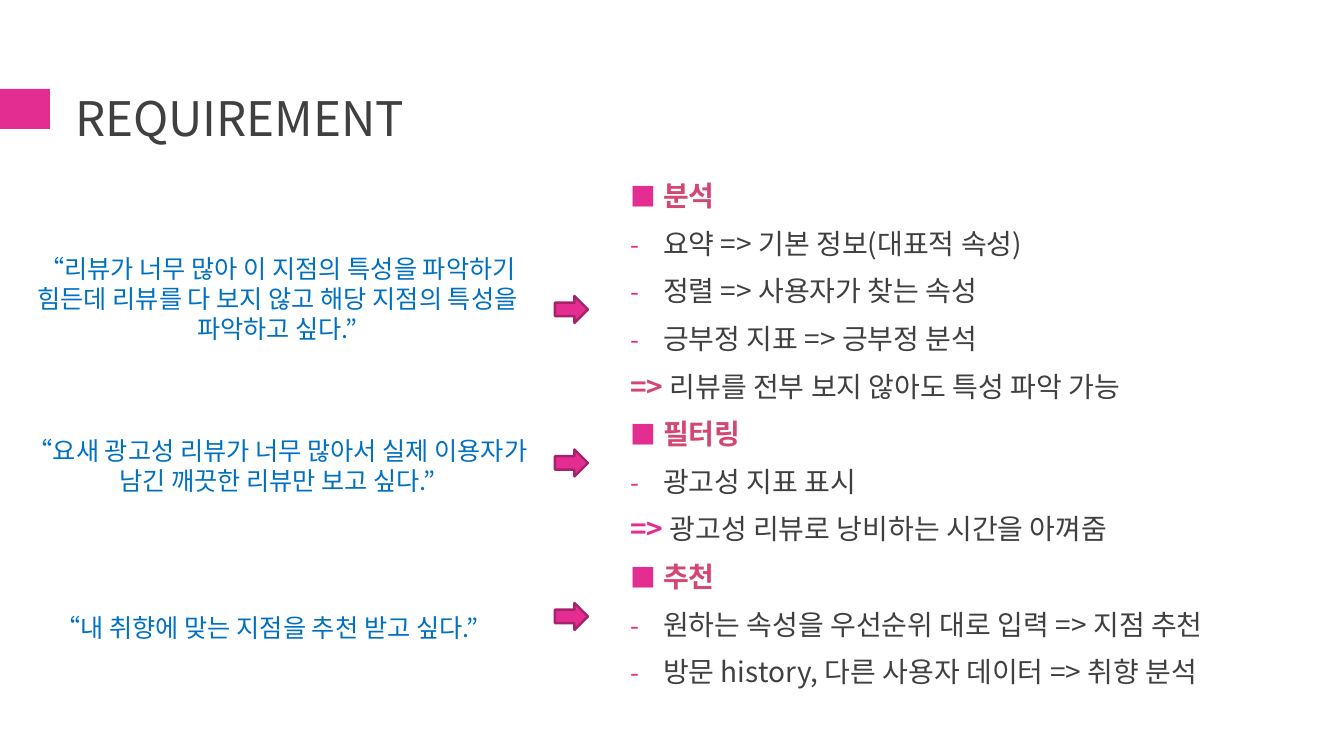
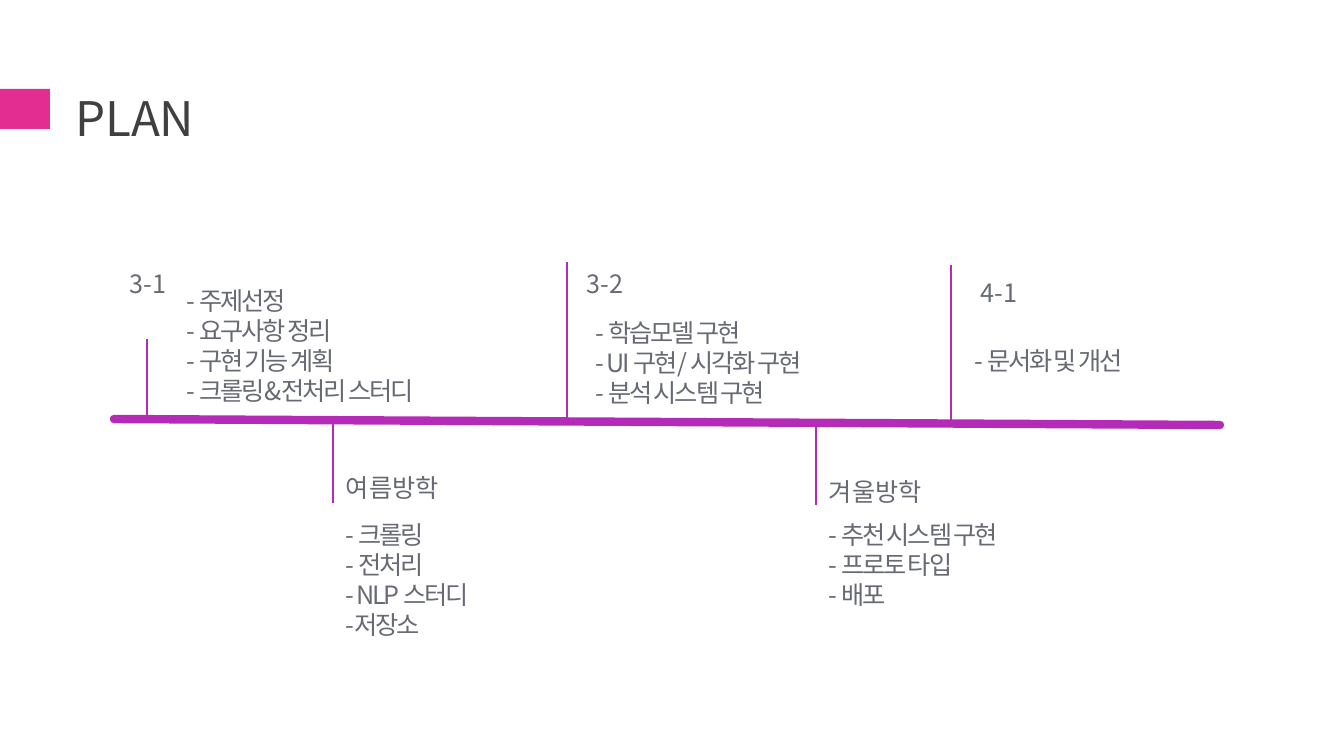
import pptx
import pptx.util
import pptx.dml.color
import pptx.enum.shapes
import pptx.enum.text
import pptx.oxml.ns
import lxml.etree

PIXEL = 914400 / 100.8
FONT = "Noto Sans CJK KR"
PINK, ROSE, DARK_PINK = "E32D91", "D54773", "A8216B"
PURPLE, BLUE, DARK, GREY = "B42BB8", "0070C0", "404040", "676A73"
LINE_HEIGHT = 1.2

REQUIREMENTS = [
    ("■", "분석"),
    ("-", "요약 => 기본 정보(대표적 속성)"),
    ("-", "정렬 => 사용자가 찾는 속성"),
    ("-", "긍부정 지표 => 긍부정 분석"),
    (ROSE, "리뷰를 전부 보지 않아도 특성 파악 가능"),
    ("■", "필터링"),
    ("-", "광고성 지표 표시"),
    (PINK, "광고성 리뷰로 낭비하는 시간을 아껴줌"),
    ("■", "추천"),
    ("-", "원하는 속성을 우선순위 대로 입력 => 지점 추천"),
    ("-", "방문 history, 다른 사용자 데이터 => 취향 분석"),
]
QUOTES = [
    ((0, 245, 555, 102), "“리뷰가 너무 많아 이 지점의 특성을 파악하기 힘든데 "
     "리뷰를 다 보지 않고 해당 지점의 특성을 파악하고 싶다.”"),
    ((0, 427, 555, 72), "“요새 광고성 리뷰가 너무 많아서 실제 이용자가 "
     "남긴 깨끗한 리뷰만 보고 싶다.”"),
    ((32, 604, 470, 40), "“내 취향에 맞는 지점을 추천 받고 싶다.”"),
]
PERIODS = [
    ("3-1", (120, 260), (177, 277), (147, 339, 417),
     ["- 주제선정", "- 요구사항 정리", "- 구현 기능 계획", "- 크롤링&전처리 스터디"]),
    ("여름방학", (336, 464), (336, 511), (333, 423, 503),
     ["- 크롤링", "- 전처리", "- NLP 스터디", "-저장소"]),
    ("3-2", (577, 260), (586, 309), (567, 262, 421),
     ["- 학습모델 구현", "- UI 구현/ 시각화 구현", "- 분석 시스템 구현"]),
    ("겨울방학", (819, 468), (819, 511), (816, 425, 505),
     ["- 추천 시스템 구현", "- 프로토 타입", "- 배포"]),
    ("4-1", (971, 269), (965, 337), (951, 265, 423), ["- 문서화 및 개선"]),
]


def px(length):
    """Turn pixels into EMU."""
    return pptx.util.Emu(round(length * PIXEL))


def rgb(code):
    """Turn a hex string into a colour."""
    return pptx.dml.color.RGBColor.from_string(code)


def child(parent, tag, **attributes):
    """Append a DrawingML element to its parent."""
    return lxml.etree.SubElement(parent, pptx.oxml.ns.qn(tag), attributes)


def place(holder, left, top, width, height):
    """Move and size a shape in pixels."""
    holder.left, holder.top = px(left), px(top)
    holder.width, holder.height = px(width), px(height)


def add_words(paragraph, words, size, color, bold=False, spacing=0):
    """Add one formatted run and fix the line height of its paragraph."""
    paragraph.line_spacing = pptx.util.Pt(round(size * LINE_HEIGHT, 1))
    run = paragraph.add_run()
    run.text = words
    run.font.size = pptx.util.Pt(size)
    run.font.name = FONT
    run.font.bold = bold
    run.font.color.rgb = rgb(color)
    properties = run.font._element
    child(properties, "a:ea", typeface=FONT)
    if spacing:
        properties.set("spc", str(round(spacing * 100)))


def add_preset(slide, preset, box, fill, outline=None):
    """Add a filled preset shape without shadow."""
    shape = slide.shapes.add_shape(preset, *map(px, box))
    shape.shadow.inherit = False
    shape.fill.solid()
    shape.fill.fore_color.rgb = rgb(fill)
    if outline:
        shape.line.color.rgb = rgb(outline)
        shape.line.width = pptx.util.Pt(1.75)
    else:
        shape.line.fill.background()
    return shape


def add_line(slide, start, end, weight, round_cap=False):
    """Add a straight purple line."""
    line = slide.shapes.add_connector(
        pptx.enum.shapes.MSO_CONNECTOR.STRAIGHT, *map(px, start + end))
    line.line.color.rgb = rgb(PURPLE)
    line.line.width = pptx.util.Pt(weight)
    if round_cap:
        line.line._get_or_add_ln().set("cap", "rnd")
    child(line._element.spPr, "a:effectLst")


def add_text(slide, box, lines, color, centred=False, spacing=0):
    """Add a text box with one paragraph for each line."""
    frame = slide.shapes.add_textbox(*map(px, box)).text_frame
    frame.word_wrap = True
    frame.margin_top = px(8)
    for number, words in enumerate(lines):
        paragraph = frame.add_paragraph() if number else frame.paragraphs[0]
        if centred:
            paragraph.alignment = pptx.enum.text.PP_ALIGN.CENTER
        add_words(paragraph, words, 18, color, spacing=spacing)


def set_bullet(paragraph, mark):
    """Give a paragraph a pink bullet with hanging indent, or none."""
    properties = paragraph._p.get_or_add_pPr()
    indent = px(33) if mark else 0
    properties.set("marL", str(indent))
    properties.set("indent", str(-indent))
    if mark:
        child(child(properties, "a:buClr"), "a:srgbClr", val=PINK)
        child(properties, "a:buSzPct", val="92000")
        child(properties, "a:buFont", typeface=FONT)
        child(properties, "a:buChar", char=mark)
    else:
        child(properties, "a:buNone")


def set_up_master(deck, slide):
    """Place the title and the pink band on the master."""
    master = deck.slide_master
    title = next(holder for holder in master.placeholders
                 if holder.placeholder_format.type
                 == pptx.enum.shapes.PP_PLACEHOLDER.TITLE)
    place(title, 65, 76, 1216, 82)
    title.text_frame.vertical_anchor = pptx.enum.text.MSO_ANCHOR.MIDDLE
    band = add_preset(slide, pptx.enum.shapes.MSO_SHAPE.RECTANGLE,
                      (0, 89, 50, 40), PINK)
    master.shapes._spTree.append(band._element)


def add_slide(deck, layout, heading):
    """Add a slide with its title."""
    slide = deck.slides.add_slide(deck.slide_layouts[layout])
    paragraph = slide.shapes.title.text_frame.paragraphs[0]
    paragraph.alignment = pptx.enum.text.PP_ALIGN.LEFT
    add_words(paragraph, heading, 34, DARK)
    return slide


def fill_requirements(body):
    """Write the requirement list into the body placeholder."""
    place(body, 620, 164, 724, 539)
    frame = body.text_frame
    frame.vertical_anchor = pptx.enum.text.MSO_ANCHOR.MIDDLE
    for number, (mark, words) in enumerate(REQUIREMENTS):
        paragraph = frame.add_paragraph() if number else frame.paragraphs[0]
        paragraph.space_before = pptx.util.Pt(4)
        paragraph.space_after = pptx.util.Pt(6)
        is_result = mark in (ROSE, PINK)
        is_heading = mark == "■"
        if is_result:
            add_words(paragraph, "=> ", 20, mark, bold=True)
        add_words(paragraph, words, 20, ROSE if is_heading else DARK, is_heading)
        set_bullet(paragraph, None if is_result else mark)


def build_requirement(slide):
    """Build the slide that leads from user quotes to requirements."""
    fill_requirements(slide.placeholders[1])
    for number, (box, quote) in enumerate(QUOTES):
        add_text(slide, box, [quote], BLUE, centred=True)
        add_preset(slide, pptx.enum.shapes.MSO_SHAPE.RIGHT_ARROW,
                   (555, 296 + 153.5 * number, 33, 27), PINK, DARK_PINK)


def build_plan(slide):
    """Build the timeline of periods and their tasks."""
    add_line(slide, (114, 419), (1220, 425), 6, round_cap=True)
    for period, label_at, tasks_at, (x, top, bottom), tasks in PERIODS:
        add_line(slide, (x, top), (x, bottom), 1)
        add_text(slide, label_at + (130, 40), [period], GREY)
        add_text(slide, tasks_at + (300, 10 + 30 * len(tasks)), tasks, GREY,
                 spacing=-1.5)


def main():
    """Build and save the deck."""
    deck = pptx.Presentation()
    deck.slide_width, deck.slide_height = px(1344), px(756)
    requirement = add_slide(deck, 1, "REQUIREMENT")
    set_up_master(deck, requirement)
    build_requirement(requirement)
    build_plan(add_slide(deck, 5, "PLAN"))
    deck.save("out.pptx")


main()
